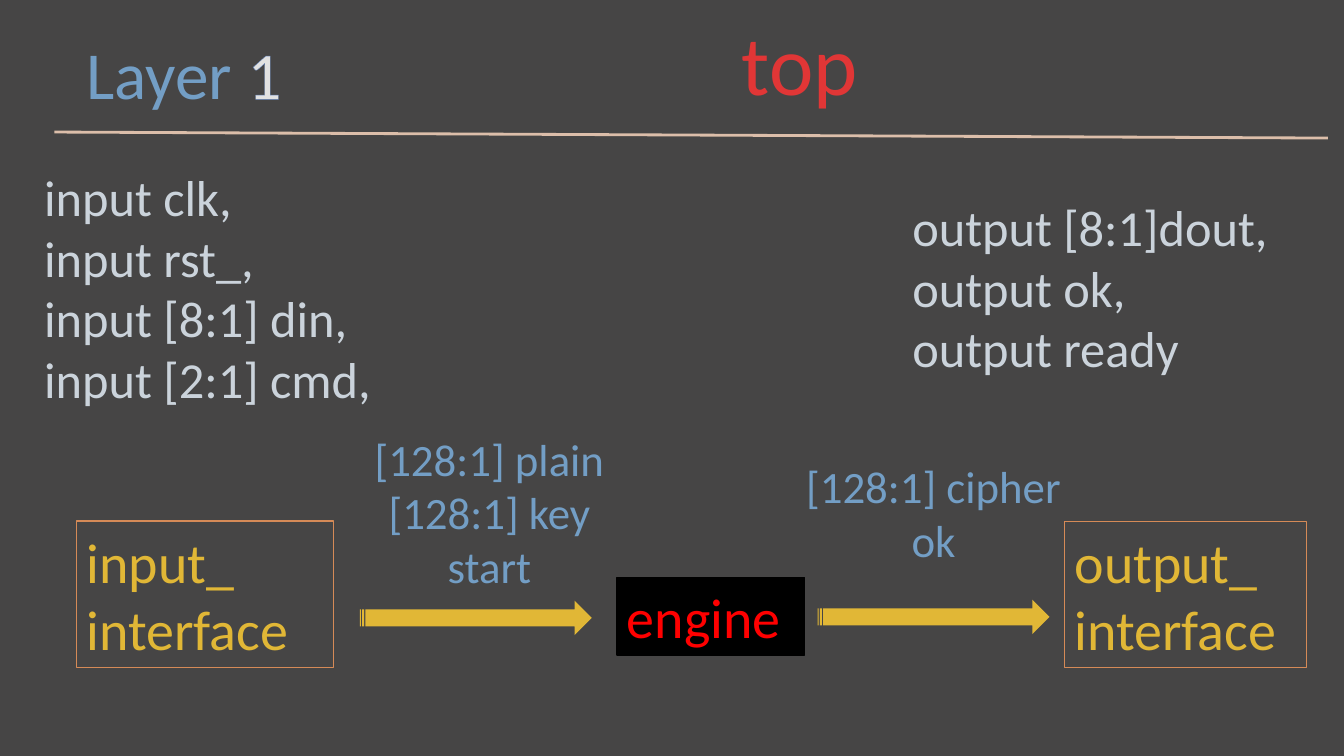
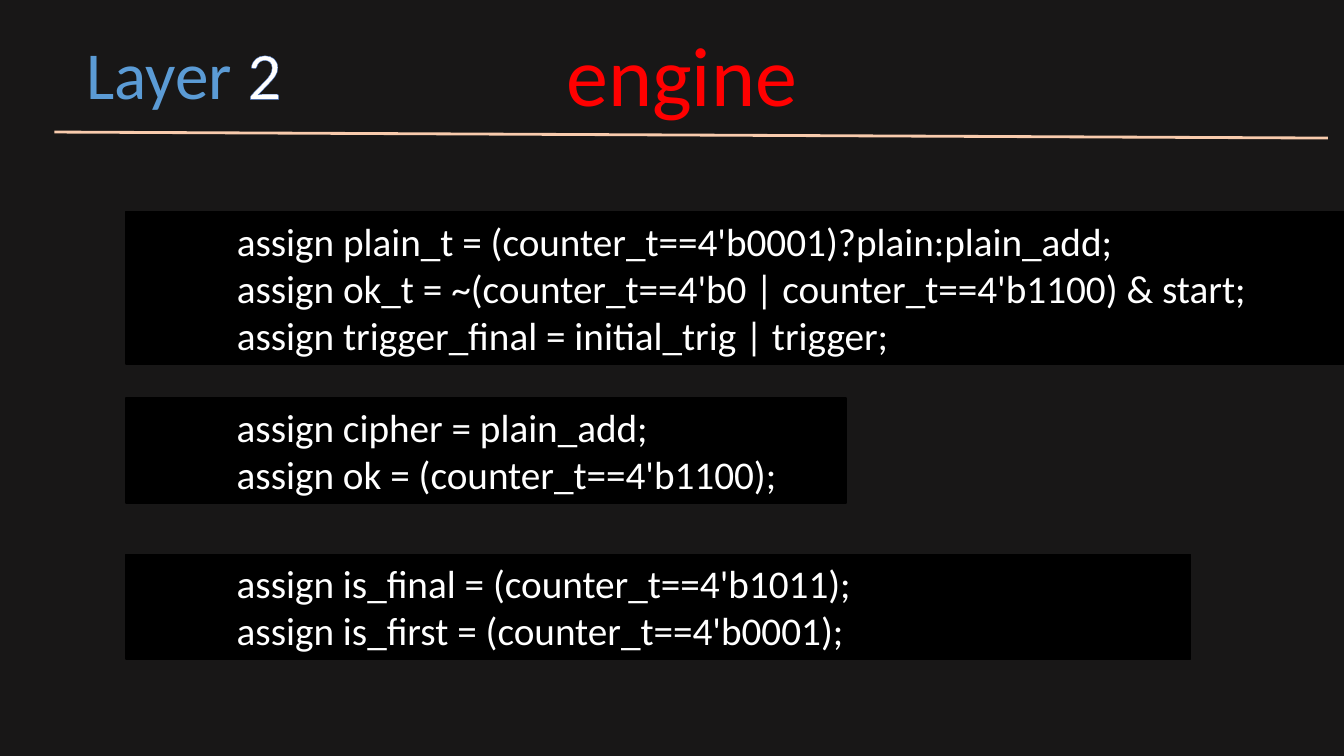
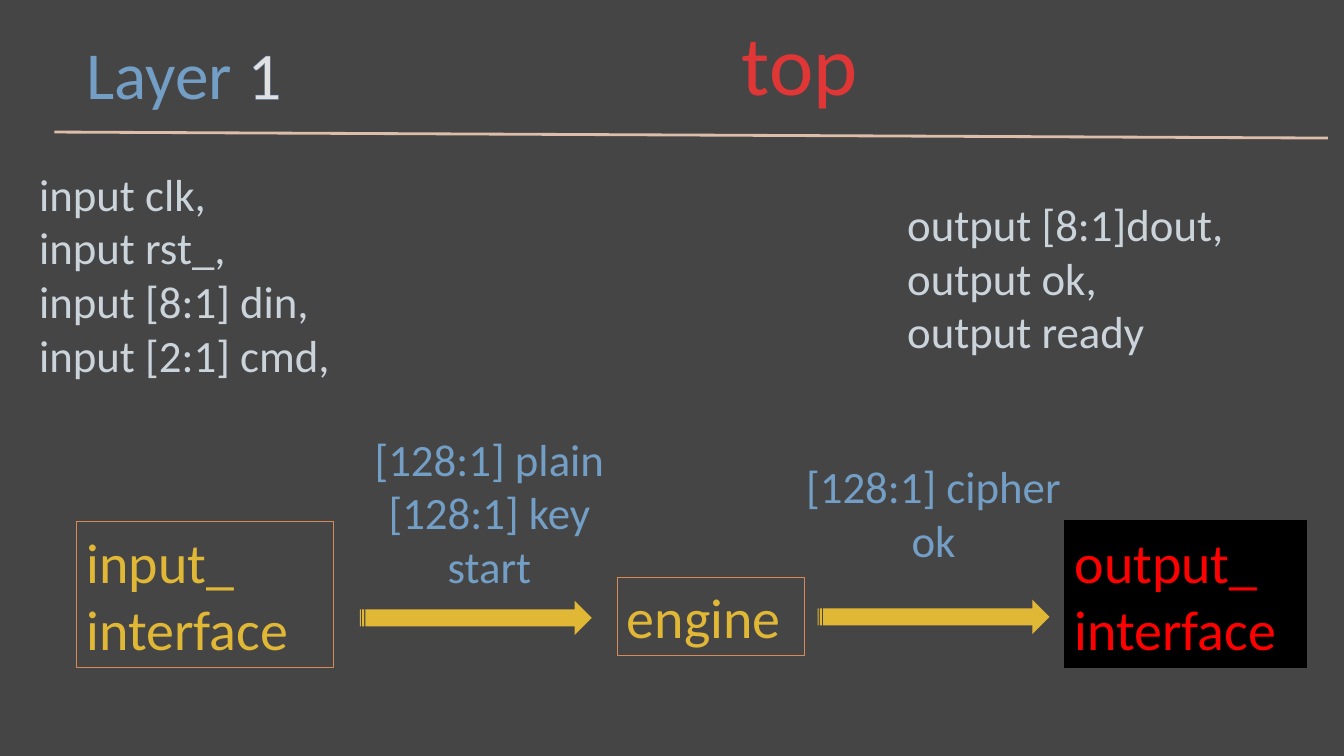
from lxml.etree import SubElement
from pptx import Presentation
from pptx.dml.color import RGBColor
from pptx.enum.shapes import MSO_CONNECTOR as Connector, MSO_SHAPE as Preset
from pptx.enum.text import MSO_ANCHOR as Anchor, PP_ALIGN as Align
from pptx.oxml import parse_xml
from pptx.oxml.ns import nsdecls, qn
from pptx.util import Inches, Pt

FONT = "Calibri"
BACKGROUND, BLACK, WHITE = "181717", "000000", "FFFFFF"
RED, BLUE, GOLD = "FF0000", "5B9BD5", "FFC000"
ORANGE, PEACH, PALE, GREY = "ED7D31", "F8CBAD", "DEEBF7", "A5A5A5"
VEIL_LINE, DIGIT_OUTLINE = "7A7A7A", "4472C4"
WIDTH, HEIGHT = 13.33, 7.5
BACKDROP = (-0.08, -0.06, 13.47, 7.64)
VEIL = (-0.05, -0.05, 13.43, 7.59)

PORTS = [
    (-0.11, 1.6, ["input clk,", "input rst_,", "input [8:1] din,", "input [2:1] cmd,"]),
    (8.5, 1.9, ["output [8:1]dout,", "output ok,", "output ready"]),
]
SIGNALS = [
    ((3.55, 4.23, 2.61, 1.72), ["[128:1] plain", "[128:1] key", "start"]),
    ((7.81, 4.5, 2.9, 1.18), ["[128:1] cipher", "ok"]),
]
ARROWS = [(3.57, 5.96, 2.3, 0.34), (8.11, 5.95, 2.3, 0.34)]
BLOCKS = {
    "input": ((0.76, 5.17, 2.55, 1.45), ["input_", "interface"]),
    "engine": ((6.12, 5.73, 1.86, 0.77), ["engine"]),
    "output": ((10.56, 5.17, 2.4, 1.45), ["output_", "interface"]),
}
CODE = [
    ((1.25, 2.1, 12.11, 1.51), [
        "\tassign plain_t = (counter_t==4'b0001)?plain:plain_add;",
        "\tassign ok_t = ~(counter_t==4'b0 | counter_t==4'b1100) & start;",
        "\tassign trigger_final = initial_trig | trigger;",
    ]),
    ((1.25, 3.95, 7.14, 1.04), [
        "\tassign cipher = plain_add;",
        "\tassign ok = (counter_t==4'b1100);",
    ]),
    ((1.25, 5.5, 10.56, 1.04), [
        "\tassign is_final = (counter_t==4'b1011);",
        "\tassign is_first = (counter_t==4'b0001);",
    ]),
]


def color(value):
    return RGBColor.from_string(value)


def inches(lengths):
    return [Inches(length) for length in lengths]


def add_run(paragraph, text, size, ink):
    run = paragraph.add_run()
    run.text = text
    run.font.name = FONT
    run.font.size = Pt(size)
    run.font.color.rgb = color(ink)
    return run


def write(shape, lines, size=32, ink=WHITE, align=Align.LEFT, anchor=Anchor.TOP, tab=None):
    frame = shape.text_frame
    frame.word_wrap = True
    frame.vertical_anchor = anchor
    for index, line in enumerate(lines):
        paragraph = frame.add_paragraph() if index else frame.paragraphs[0]
        paragraph.alignment = align
        if tab:
            stops = SubElement(paragraph._p.get_or_add_pPr(), qn("a:tabLst"))
            SubElement(stops, qn("a:tab"), pos=str(Inches(tab)), algn="l")
        add_run(paragraph, line, size, ink)
    return frame


def add_text(slide, box, lines, **text_format):
    return write(slide.shapes.add_textbox(*inches(box)), lines, **text_format)


def add_box(slide, box, preset=Preset.RECTANGLE, fill=None, line=None, weight=1):
    shape = slide.shapes.add_shape(preset, *inches(box))
    shape.shadow.inherit = False
    if fill:
        shape.fill.solid()
        shape.fill.fore_color.rgb = color(fill)
    else:
        shape.fill.background()
    if line:
        shape.line.color.rgb = color(line)
        shape.line.width = Pt(weight)
    else:
        shape.line.fill.background()
    return shape


def add_header(presentation, layer, title, title_box):
    slide = presentation.slides.add_slide(presentation.slide_layouts[6])
    frame = add_text(slide, (0.76, 0.27, 2.4, 0.91), ["Layer "], size=48, ink=BLUE)
    digit = add_run(frame.paragraphs[0], layer, 48, WHITE)
    digit.font._element.insert(0, parse_xml(
        f'<a:ln {nsdecls("a")} w="10160"><a:solidFill>'
        f'<a:srgbClr val="{DIGIT_OUTLINE}"/></a:solidFill></a:ln>'))
    add_text(slide, title_box, [title], size=60, ink=RED)
    rule = slide.shapes.add_connector(
        Connector.STRAIGHT, *inches((0.54, 1.31, 13.17, 1.37)))
    rule.line.color.rgb = color(PEACH)
    rule.line.width = Pt(2)
    SubElement(rule._element.spPr, qn("a:effectLst"))
    return slide


def add_block(slide, name, fill=None, line=ORANGE, ink=GOLD, weight=0.5):
    box, lines = BLOCKS[name]
    shape = add_box(slide, box, fill=fill, line=line, weight=weight)
    write(shape, lines, size=40, ink=ink, anchor=Anchor.MIDDLE)


def add_top_slide(presentation, highlight, port_size, input_weight):
    slide = add_header(presentation, "1", "top", (7.26, 0.06, 1.44, 1.11))
    for left, top, lines in PORTS:
        box = (left + port_size / 80, top, 3.9, len(lines) * port_size / 59 + 0.1)
        add_text(slide, box, lines, size=port_size, ink=PALE)
    for box, lines in SIGNALS:
        add_text(slide, box, lines, ink=BLUE, align=Align.CENTER)
    for box in ARROWS:
        add_box(slide, box, Preset.STRIPED_RIGHT_ARROW, fill=GOLD)
    for name in BLOCKS:
        if name != highlight:
            add_block(slide, name, weight=input_weight if name == "input" else 0.5)
    veil = add_box(slide, VEIL, fill=GREY, line=VEIL_LINE)
    tint = veil._element.spPr.find(qn("a:solidFill"))[0]
    SubElement(tint, qn("a:alpha"), val="33000")
    add_block(slide, highlight, fill=BLACK, line=BLACK, ink=RED, weight=1)
    return slide


def add_engine_slide(presentation):
    slide = add_header(presentation, "2", "engine", (5.52, 0.17, 2.68, 1.11))
    for box, lines in CODE:
        shape = add_box(slide, box, fill=BLACK, line=BLACK)
        write(shape, lines, size=28, anchor=Anchor.MIDDLE, tab=1)


def main():
    presentation = Presentation()
    presentation.slide_width = Inches(WIDTH)
    presentation.slide_height = Inches(HEIGHT)
    first = add_top_slide(presentation, "engine", port_size=36, input_weight=1)
    backdrop = add_box(first, BACKDROP, fill=BACKGROUND)
    presentation.slide_master.shapes._spTree.insert(2, backdrop._element)
    add_engine_slide(presentation)
    add_top_slide(presentation, "output", port_size=32, input_weight=0.5)
    presentation.save("out.pptx")


if __name__ == "__main__":
    main()
